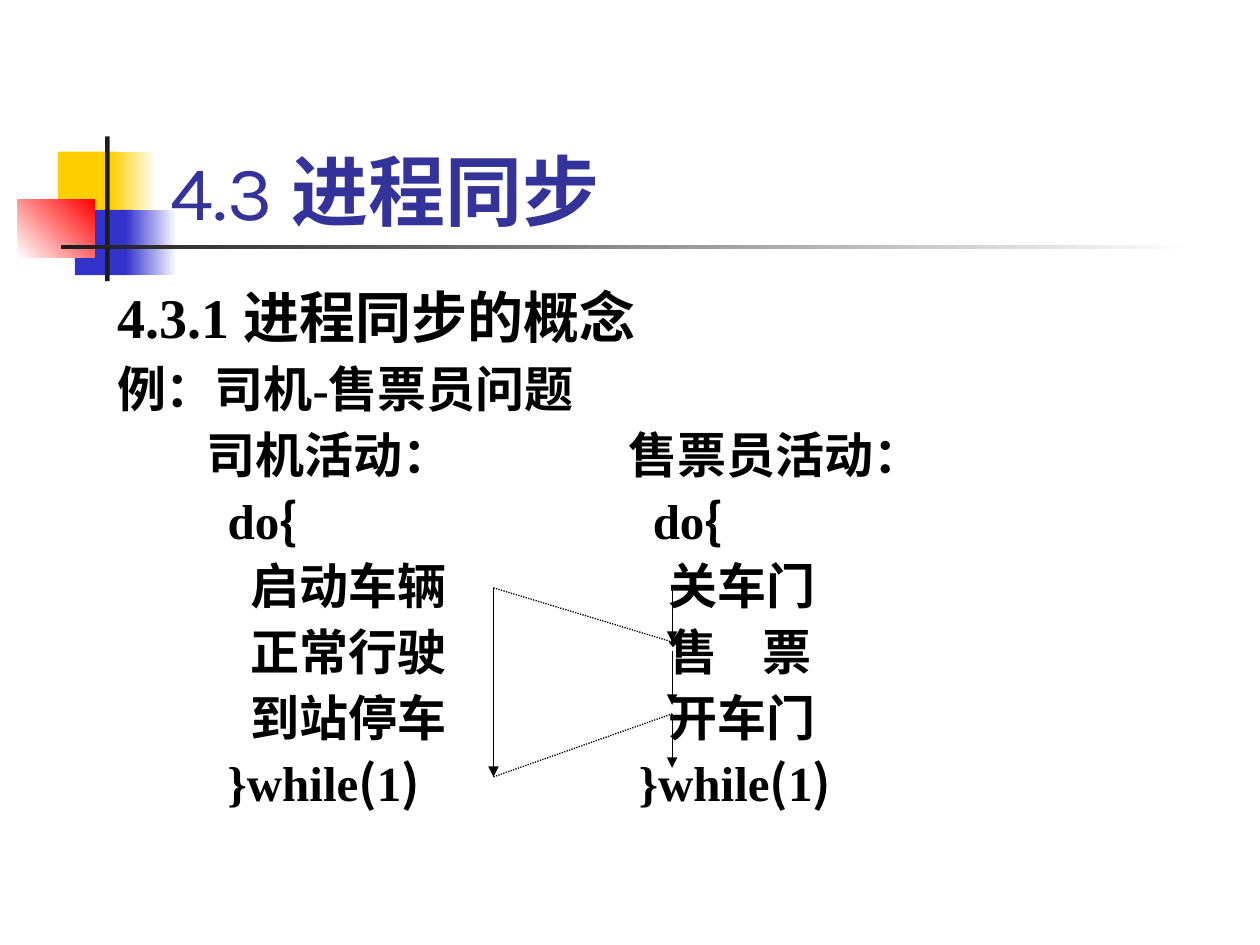
from itertools import groupby

from lxml import etree
from pptx import Presentation
from pptx.dml.color import RGBColor
from pptx.enum.dml import MSO_LINE
from pptx.enum.shapes import MSO_CONNECTOR, MSO_SHAPE
from pptx.enum.text import MSO_ANCHOR
from pptx.oxml.ns import qn
from pptx.util import Cm, Pt

RECTANGLE = MSO_SHAPE.RECTANGLE
STRAIGHT = MSO_CONNECTOR.STRAIGHT
DOTTED = MSO_LINE.ROUND_DOT
TOP, BOTTOM = MSO_ANCHOR.TOP, MSO_ANCHOR.BOTTOM

BLACK = RGBColor(0x00, 0x00, 0x00)
WHITE = RGBColor(0xFF, 0xFF, 0xFF)
YELLOW = RGBColor(0xFF, 0xCF, 0x01)
BLUE = RGBColor(0x33, 0x33, 0xCC)
RED = RGBColor(0xFF, 0x00, 0x00)
CHARCOAL = RGBColor(0x1C, 0x1C, 0x1C)
TITLE_BLUE = RGBColor(0x33, 0x33, 0x99)

TITLE_FONT = "Karla"
BODY_FONT = "Times New Roman"
CHINESE_FONT = "Noto Sans CJK SC"
CHINESE_SYMBOLS = "{()"

HEADING_TABS = (1.8, 10.31)
DO_TABS = (2.23, 10.8)
STEP_TABS = (2.69, 11.12, 13.02)
WHILE_TABS = (2.23, 10.52)

BODY = [
    ("4.3.1 进程同步的概念", 32, 0.9, ()),
    ("例：司机-售票员问题", 28, 0.7, ()),
    ("\t司机活动：\t售票员活动：", 28, 0.7, HEADING_TABS),
    ("\tdo{\tdo{", 28, 0.7, DO_TABS),
    ("\t启动车辆\t关车门", 28, 0.7, STEP_TABS),
    ("\t正常行驶\t售\t票", 28, 0.7, STEP_TABS),
    ("\t到站停车\t开车门", 28, 0.7, STEP_TABS),
    ("\t}while(1)\t}while(1)", 28, 0.7, WHILE_TABS),
]


class SlideBuilder:
    def __init__(self, slide):
        self.slide = slide

    def block(self, left, top, width, height, start, end=None, angle=0):
        shape = self.slide.shapes.add_shape(
            RECTANGLE, Cm(left), Cm(top), Cm(width), Cm(height))
        shape.shadow.inherit = False
        shape.line.fill.background()
        if end is None:
            shape.fill.solid()
            shape.fill.fore_color.rgb = start
            return
        shape.fill.gradient()
        shape.fill.gradient_angle = angle
        for stop, color in zip(shape.fill.gradient_stops, (start, end)):
            stop.color.rgb = color

    def text_box(self, left, top, width, height, anchor):
        shape = self.slide.shapes.add_textbox(
            Cm(left), Cm(top), Cm(width), Cm(height))
        frame = shape.text_frame
        frame.word_wrap = True
        frame.vertical_anchor = anchor
        return frame

    def run(self, paragraph, text, size, font, color, bold):
        run = paragraph.add_run()
        run.text = text
        run.font.size = Pt(size)
        run.font.name = font
        run.font.bold = bold
        run.font.color.rgb = color
        properties = run.font._element
        east_asian = etree.SubElement(properties, qn("a:ea"))
        east_asian.set("typeface", CHINESE_FONT)

    def title(self, number, name):
        frame = self.text_box(3.19, 1.71, 21.64, 3.18, BOTTOM)
        paragraph = frame.paragraphs[0]
        self.run(paragraph, number, 44, TITLE_FONT, TITLE_BLUE, False)
        self.run(paragraph, name, 44, TITLE_FONT, TITLE_BLUE, True)

    def body(self, lines):
        frame = self.text_box(2.11, 5.72, 20.96, 11.46, TOP)
        for index, (text, size, spacing, tabs) in enumerate(lines):
            paragraph = frame.add_paragraph() if index else frame.paragraphs[0]
            paragraph.line_spacing = spacing
            if index:
                paragraph.space_before = Pt(size / 2)
            if tabs:
                self.tab_stops(paragraph, tabs)
            for symbol, part in groupby(text, lambda c: c in CHINESE_SYMBOLS):
                font = CHINESE_FONT if symbol else BODY_FONT
                self.run(paragraph, "".join(part), size, font, BLACK, True)

    def tab_stops(self, paragraph, positions):
        properties = paragraph._p.get_or_add_pPr()
        tab_list = etree.SubElement(properties, qn("a:tabLst"))
        for position in positions:
            tab = etree.SubElement(tab_list, qn("a:tab"))
            tab.set("pos", str(Cm(position)))
            tab.set("algn", "l")

    def connector(self, start, end, arrow=False):
        connector = self.slide.shapes.add_connector(
            STRAIGHT, Cm(start[0]), Cm(start[1]), Cm(end[0]), Cm(end[1]))
        connector.line.color.rgb = BLACK
        connector.line.width = Pt(0.75)
        if arrow:
            line = connector.line._get_or_add_ln()
            etree.SubElement(line, qn("a:tailEnd")).set("type", "triangle")
        else:
            connector.line.dash_style = DOTTED
        etree.SubElement(connector._element.spPr, qn("a:effectLst"))


def main():
    presentation = Presentation()
    presentation.slide_width = Cm(25.4)
    presentation.slide_height = Cm(19.05)
    slide = presentation.slides.add_slide(presentation.slide_layouts[6])
    builder = SlideBuilder(slide)

    builder.block(1.17, 3.06, 1.22, 1.32, YELLOW)
    builder.block(2.24, 3.06, 0.91, 1.32, YELLOW, WHITE)
    builder.block(1.51, 4.23, 1.17, 1.32, BLUE)
    builder.block(2.54, 4.23, 1.02, 1.32, BLUE, WHITE)
    builder.block(0.36, 4.02, 1.55, 1.17, WHITE, RED, 45)
    builder.block(2.12, 2.75, 0.09, 2.92, CHARCOAL)
    builder.block(1.23, 4.94, 22.86, 0.09, CHARCOAL, WHITE)

    builder.title("4.3 ", "进程同步")
    builder.body(BODY)

    driver_x, seller_x = 9.95, 13.55
    first_y, last_y = 11.85, 15.66
    step, length = 1.27, 1.09
    builder.connector((driver_x, first_y), (driver_x, last_y), arrow=True)
    for index in range(3):
        top = first_y + index * step
        builder.connector((seller_x, top), (seller_x, top + length), arrow=True)
    builder.connector((driver_x, first_y), (seller_x, first_y + length))
    builder.connector((driver_x, last_y), (seller_x, first_y + 2 * step))

    presentation.save("out.pptx")


if __name__ == "__main__":
    main()
